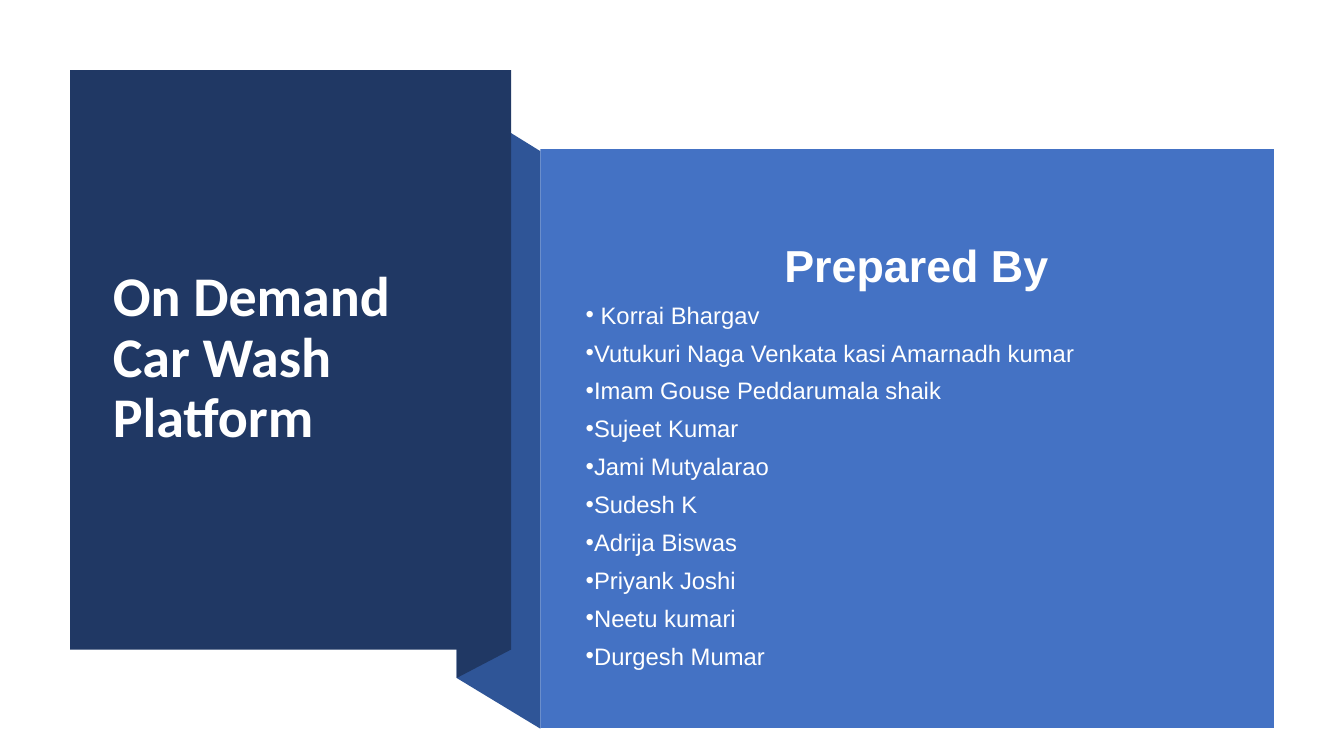
from pptx import Presentation
from pptx.dml.color import RGBColor
from pptx.enum.shapes import MSO_SHAPE
from pptx.enum.text import MSO_ANCHOR, PP_ALIGN
from pptx.util import Pt
from lxml.etree import SubElement
from pptx.oxml.ns import qn

# Content
TITLE = "On Demand Car Wash Platform"
HEADING = "Prepared By"
NAMES = [
    " Korrai Bhargav",
    "Vutukuri Naga Venkata kasi Amarnadh kumar",
    "Imam Gouse Peddarumala shaik",
    "Sujeet Kumar",
    "Jami Mutyalarao",
    "Sudesh K",
    "Adrija Biswas",
    "Priyank Joshi",
    "Neetu kumari",
    "Durgesh Mumar",
]
COLORS = {"navy": "203864", "fold": "2F5597", "panel": "4472C4", "text": "FFFFFF"}

# Layout in points: left, top, width, height
CARD = (50, 50, 315, 414)
PANEL = (386, 106.5, 524, 413.5)
TITLE_BOX = (73.4, 77, 267, 359)
NAMES_BOX = (418.3, 177, 461, 300)
FOLD_LEFT = 326.2
FOLD_TOP, FOLD_BOTTOM = 71, 484.3


def paint(sp, color):
    sp.fill.solid()
    sp.fill.fore_color.rgb = RGBColor.from_string(COLORS[color])
    sp.line.fill.background()
    sp.shadow.inherit = False


def add_block(s, box, color):
    paint(s.shapes.add_shape(MSO_SHAPE.RECTANGLE, *map(Pt, box)), color)


def add_fold(s, right, top, bottom, color):
    """Slanted band from the shared fold edge to another vertical edge."""
    points = [(FOLD_LEFT, FOLD_BOTTOM), (FOLD_LEFT, FOLD_TOP), (right, top), (right, bottom)]
    points = [(Pt(x), Pt(y)) for x, y in points]
    fb = s.shapes.build_freeform(*points[0])
    fb.add_line_segments(points[1:], close=True)
    paint(fb.convert_to_shape(), color)


def write(tf, text, size, font, bold=False, spacing=0.8, before=0, indent=0, bullet=False):
    p = tf.paragraphs[0] if not tf.text else tf.add_paragraph()
    pPr = p._p.get_or_add_pPr()
    pPr.set("marL", str(Pt(indent)))
    pPr.set("indent", str(-Pt(indent) if bullet else 0))
    p.alignment = PP_ALIGN.LEFT
    p.line_spacing = spacing
    p.space_before = Pt(before)
    if bullet:
        SubElement(pPr, qn("a:buFont")).set("typeface", font)
        SubElement(pPr, qn("a:buChar")).set("char", "•")
    r = p.add_run()
    r.text = text
    r.font.size, r.font.name, r.font.bold = Pt(size), font, bold
    r.font.color.rgb = RGBColor.from_string(COLORS["text"])


prs = Presentation()
prs.slide_width, prs.slide_height = Pt(960), Pt(540)
s = prs.slides.add_slide(prs.slide_layouts[5])

# Folded ribbon, card and panel
card_left, card_top, card_w, card_h = CARD
panel_left, panel_top, panel_w, panel_h = PANEL
add_fold(s, panel_left, panel_top + 1.5, panel_top + panel_h + 0.5, "fold")
add_fold(s, card_left + card_w, card_top, card_top + card_h, "navy")
add_block(s, CARD, "navy")
add_block(s, PANEL, "panel")

# Title, brought in front of the card
title = s.shapes.title
title.left, title.top, title.width, title.height = map(Pt, TITLE_BOX)
s.shapes._spTree.append(title._element)
tf = title.text_frame
tf.word_wrap = True
tf.vertical_anchor = MSO_ANCHOR.MIDDLE
write(tf, TITLE, 40, "Calibri", bold=True, spacing=0.9)

# Team list
tf = s.shapes.add_textbox(*map(Pt, NAMES_BOX)).text_frame
tf.word_wrap = True
tf.margin_left = tf.margin_right = tf.margin_top = tf.margin_bottom = 0
write(tf, HEADING, 32, "Arial", bold=True, indent=142)
for name in NAMES:
    write(tf, name, 17, "Arial", before=10.75, indent=6, bullet=True)

prs.save("out.pptx")
